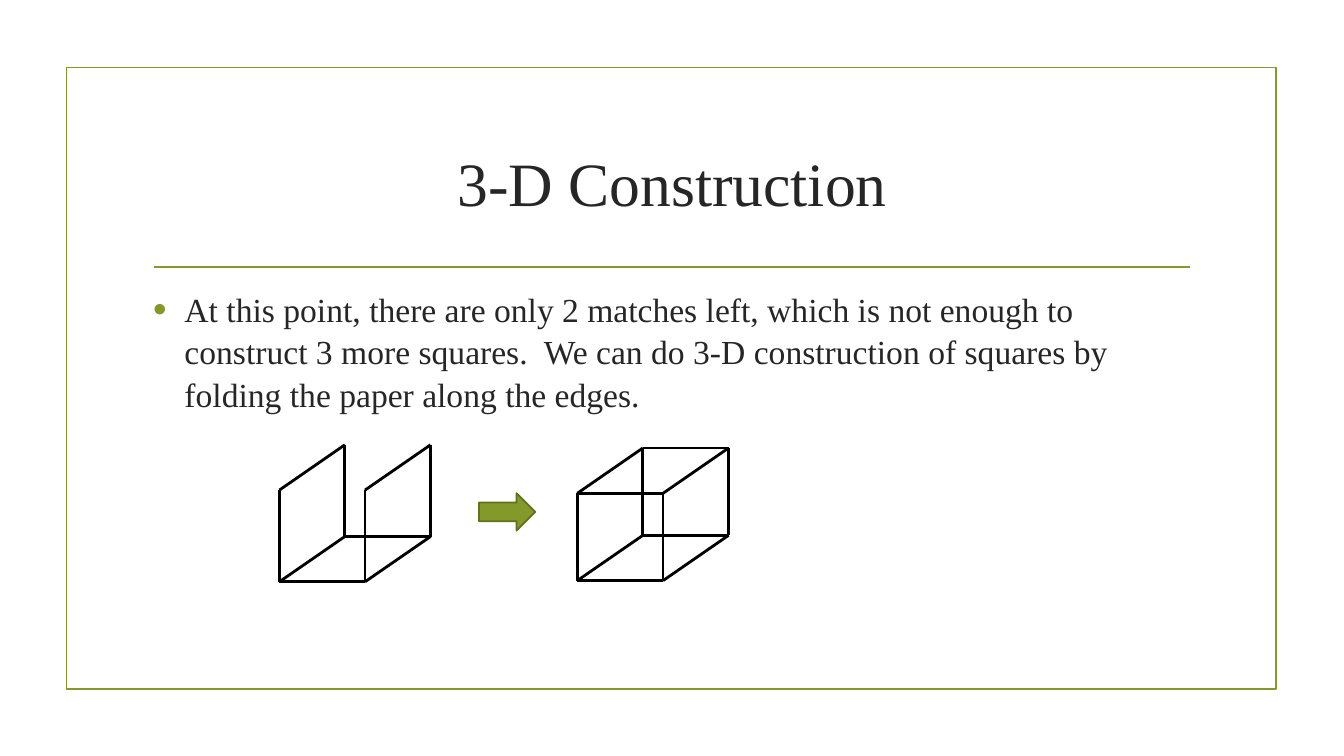
from lxml import etree
from pptx import Presentation
from pptx.dml.color import RGBColor
from pptx.enum.shapes import MSO_CONNECTOR, MSO_SHAPE
from pptx.enum.text import MSO_ANCHOR, PP_ALIGN
from pptx.oxml.ns import qn
from pptx.util import Cm, Pt

STRAIGHT = MSO_CONNECTOR.STRAIGHT
RECTANGLE = MSO_SHAPE.RECTANGLE
RIGHT_ARROW = MSO_SHAPE.RIGHT_ARROW
MIDDLE = MSO_ANCHOR.MIDDLE
TOP = MSO_ANCHOR.TOP
CENTER = PP_ALIGN.CENTER
LEFT = PP_ALIGN.LEFT

FONT = "Times New Roman"
GREEN = "83992A"
DARK_GREEN = "61711F"
INK = "262626"
BLACK = "000000"

DEPTH_X, DEPTH_Y = 1.65, 1.14


def color(value):
    return RGBColor.from_string(value)


def add_line(s, start, end, line_color, weight):
    line = s.shapes.add_connector(STRAIGHT, *[Cm(v) for v in (*start, *end)])
    line.line.color.rgb = color(line_color)
    line.line.width = Pt(weight)
    etree.SubElement(line._element.spPr, qn("a:effectLst"))


def add_block(s, kind, box, fill, outline):
    sp = s.shapes.add_shape(kind, *[Cm(v) for v in box])
    sp.shadow.inherit = False
    if fill:
        sp.fill.solid()
        sp.fill.fore_color.rgb = color(fill)
    else:
        sp.fill.background()
    sp.line.color.rgb = color(outline)
    sp.line.width = Pt(1.25)


def add_text(s, box, text, size, align, anchor):
    tf = s.shapes.add_textbox(*[Cm(v) for v in box]).text_frame
    tf.word_wrap = True
    tf.vertical_anchor = anchor
    p = tf.paragraphs[0]
    p.text = text
    p.alignment = align
    p.line_spacing = 1.05
    p.font.name = FONT
    p.font.size = Pt(size)
    p.font.color.rgb = color(INK)
    return p


def add_bullet(p):
    pPr = p._p.get_or_add_pPr()
    pPr.set("marL", str(Cm(0.79)))
    pPr.set("indent", str(Cm(-0.79)))
    bullet = [etree.Element(qn("a:buClr")),
              etree.Element(qn("a:buSzPct"), val="115000"),
              etree.Element(qn("a:buFont"), typeface="Arial"),
              etree.Element(qn("a:buChar"), char="•")]
    etree.SubElement(bullet[0], qn("a:srgbClr"), val=GREEN)
    defaults = pPr.find(qn("a:defRPr"))
    for element in bullet:
        defaults.addprevious(element)


def add_header(s, left, top, width, height):
    add_text(s, (left, top, width, height), "3-D Construction", 44, CENTER, MIDDLE)
    rule_y = top + height + 0.38
    add_line(s, (left + 0.28, rule_y), (left + width - 0.28, rule_y), GREEN, 1.25)


def add_body(s, left, top, width, height):
    p = add_text(s, (left, top, width, height),
                 "At this point, there are only 2 matches left, which is not "
                 "enough to construct 3 more squares.  We can do 3-D "
                 "construction of squares by folding the paper along the edges.",
                 24, LEFT, TOP)
    p.space_after = Pt(6)
    add_bullet(p)


def add_cube(s, left, top, width, height, closed):
    side = width - DEPTH_X
    upright = height - DEPTH_Y

    def corner(right, back, up):
        return (left + right * side + back * DEPTH_X,
                top + height - back * DEPTH_Y - up * upright)

    for a in (0, 1):
        for b in (0, 1):
            add_line(s, corner(a, b, 0), corner(a, b, 1), BLACK, 2)
            add_line(s, corner(a, 0, b), corner(a, 1, b), BLACK, 2)
            if closed or b == 0:
                add_line(s, corner(0, a, b), corner(1, a, b), BLACK, 2)


def add_folding(s, left, top, width, height):
    cube_width = 3.81
    add_cube(s, left, top, cube_width, height, False)
    add_cube(s, left + width - cube_width, top + 0.08, cube_width, height - 0.11, True)
    add_block(s, RIGHT_ARROW, (left + 5.03, top + 1.22, 1.42, 0.94), GREEN, DARK_GREEN)


def main():
    prs = Presentation()
    prs.slide_width, prs.slide_height = Cm(33.87), Cm(19.05)
    s = prs.slides.add_slide(prs.slide_layouts[6])
    add_block(s, RECTANGLE, (1.68, 1.7, 30.48, 15.67), None, GREEN)
    add_header(s, 3.61, 2.72, 26.67, 3.63)
    add_body(s, 3.61, 7.11, 26.67, 9.22)
    add_folding(s, 7.04, 11.21, 11.32, 3.45)
    prs.save("out.pptx")


if __name__ == "__main__":
    main()
